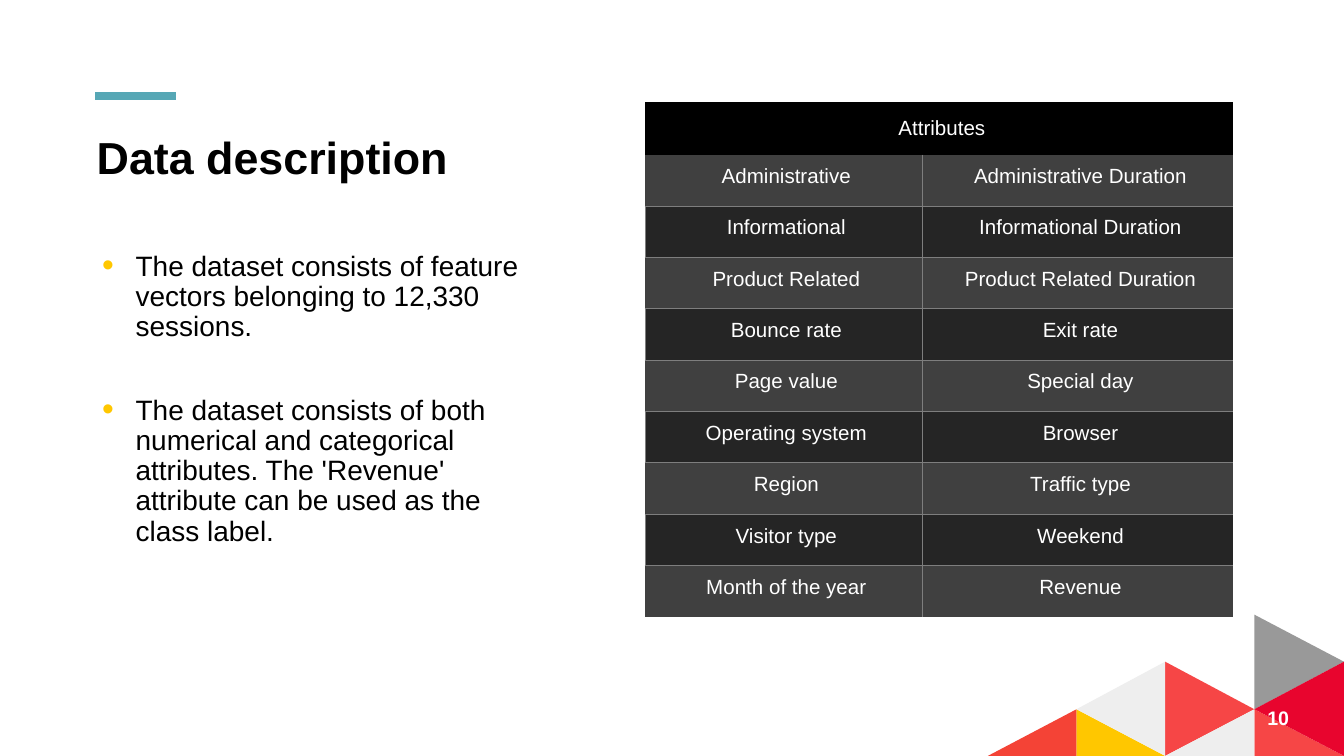
from lxml import etree
from pptx import Presentation
from pptx.dml.color import RGBColor
from pptx.enum.shapes import MSO_CONNECTOR
from pptx.enum.text import PP_ALIGN
from pptx.oxml.ns import qn
from pptx.util import Pt

STRAIGHT = MSO_CONNECTOR.STRAIGHT
LEFT, CENTER = PP_ALIGN.LEFT, PP_ALIGN.CENTER
FONT = "Arial"
PLAIN_TABLE = "{2D5ABB26-0587-4C30-8999-92F81FD0307C}"
GRID = "7E7E7E"

COLUMNS = [529.2, 576.7, 624.2, 672, 720]
LEVELS = [329.3, 354.5, 380, 405]
TRIANGLES = [
    ("999999", [(3, 0), (3, 2), (4, 1)]),
    ("FFC700", [(1, 2), (1, 3), (2, 3)]),
    ("F64646", [(2, 1), (2, 3), (3, 2)]),
    ("F64646", [(3, 2), (3, 3), (4, 3)]),
    ("EEEEEE", [(2, 1), (1, 2), (2, 3)]),
    ("EEEEEE", [(3, 2), (2, 3), (3, 3)]),
    ("E8052E", [(4, 1), (3, 2), (4, 3)]),
    ("F44336", [(1, 2), (0, 3), (1, 3)]),
]
BULLETS = [
    "The dataset consists of feature vectors belonging to 12,330 sessions.",
    "The dataset consists of both numerical and categorical attributes. "
    "The 'Revenue' attribute can be used as the class label.",
]
ATTRIBUTES = [
    ("Administrative", "Administrative Duration"),
    ("Informational", "Informational Duration"),
    ("Product Related", "Product Related Duration"),
    ("Bounce rate", "Exit rate"),
    ("Page value", "Special day"),
    ("Operating system", "Browser"),
    ("Region", "Traffic type"),
    ("Visitor type", "Weekend"),
    ("Month of the year", "Revenue"),
]


def color(value):
    return RGBColor.from_string(value)


def add_span(para, text, size, fill, bold=False):
    span = para.add_run()
    span.text = text
    span.font.name = FONT
    span.font.size = Pt(size)
    span.font.bold = bold
    span.font.color.rgb = color(fill)


def set_margins(target, left, top):
    target.margin_left, target.margin_top = Pt(left), Pt(top)
    target.margin_right = target.margin_bottom = 0


def add_box(page, left, top, width, height, inset_left, inset_top):
    box = page.shapes.add_textbox(Pt(left), Pt(top), Pt(width), Pt(height))
    frame = box.text_frame
    frame.word_wrap = True
    set_margins(frame, inset_left, inset_top)
    return frame


def add_triangle(page, fill, corners):
    points = [(Pt(COLUMNS[x]), Pt(LEVELS[y])) for x, y in corners]
    builder = page.shapes.build_freeform(*points[0], scale=1.0)
    builder.add_line_segments(points[1:], close=True)
    shape = builder.convert_to_shape()
    shape.shadow.inherit = False
    shape.fill.solid()
    shape.fill.fore_color.rgb = color(fill)
    shape.line.fill.background()


def add_rule(page, left, top, width, fill, weight):
    rule = page.shapes.add_connector(STRAIGHT, Pt(left), Pt(top), Pt(left + width), Pt(top))
    rule.line.color.rgb = color(fill)
    rule.line.width = Pt(weight)
    etree.SubElement(rule._element.spPr, qn("a:effectLst"))


def set_bullet(para, fill):
    props = para._p.get_or_add_pPr()
    props.set("marL", str(Pt(18.7)))
    props.set("indent", str(-Pt(18)))
    paint = etree.SubElement(props, qn("a:buClr"))
    etree.SubElement(paint, qn("a:srgbClr"), val=fill)
    etree.SubElement(props, qn("a:buSzPct"), val="120000")
    etree.SubElement(props, qn("a:buFont"), typeface=FONT)
    etree.SubElement(props, qn("a:buChar"), char="•")


def add_bullets(page):
    frame = add_box(page, 54, 131.8, 225.4, 162, 0, 2.9)
    for index, text in enumerate(BULLETS):
        para = frame.add_paragraph() if index else frame.paragraphs[0]
        para.line_spacing = Pt(16.2)
        para.space_before = Pt(28.5 if index else 0)
        set_bullet(para, "FFC700")
        add_span(para, text, 15, "000000")


def add_border(cell, side):
    line = etree.SubElement(cell._tc.get_or_add_tcPr(), qn("a:ln" + side), w=str(Pt(0.5)))
    paint = etree.SubElement(line, qn("a:solidFill"))
    etree.SubElement(paint, qn("a:srgbClr"), val=GRID)


def fill_cell(cell, text, fill, inset_top, sides=""):
    for side in sides:
        add_border(cell, side)
    cell.fill.solid()
    cell.fill.fore_color.rgb = color(fill)
    set_margins(cell, 2.9, inset_top)
    para = cell.text_frame.paragraphs[0]
    para.alignment = CENTER
    if text:
        add_span(para, text, 11, "FFFFFF")


def add_attribute_table(page):
    count = len(ATTRIBUTES) + 1
    frame = page.shapes.add_table(count, 2, Pt(345.6), Pt(54.7), Pt(315.2), Pt(275.9))
    table = frame.table
    table._tbl.tblPr.find(qn("a:tableStyleId")).text = PLAIN_TABLE
    for column, width in zip(table.columns, (148.5, 166.7)):
        column.width = Pt(width)
    for index, row in enumerate(table.rows):
        row.height = Pt(27.53 if index else 28.1)

    for cell, text in zip(table.rows[0].cells, ("Attributes", "")):
        fill_cell(cell, text, "000000", 7.7)
    table.cell(0, 0).merge(table.cell(0, 1))

    for number, names in enumerate(ATTRIBUTES, 1):
        dark = number % 2 == 0
        fill = "252525" if dark else "404040"
        top = "T" if number > 1 else ""
        bottom = "B" if number < count - 1 else ""
        edges = ("LR" if dark else "R", "L")
        for cell, name, edge in zip(table.rows[number].cells, names, edges):
            fill_cell(cell, name, fill, 5.5, edge + top + bottom)


def add_label(page, text, size, fill, *place):
    para = add_box(page, *place).paragraphs[0]
    para.alignment = LEFT
    add_span(para, text, size, fill, bold=True)


def main():
    deck = Presentation()
    deck.slide_width, deck.slide_height = Pt(720), Pt(405)
    page = deck.slides.add_slide(deck.slide_layouts[6])
    for fill, corners in TRIANGLES:
        add_triangle(page, fill, corners)
    add_label(page, "Data description", 24, "000000", 51, 66.2, 190, 31, 0.8, 3.4)
    add_rule(page, 51, 51.4, 43.2, "56A7B5", 4.5)
    add_bullets(page)
    add_label(page, "10", 10.5, "FFFFFF", 678.2, 376.6, 17.3, 13.7, 0.8, 1.8)
    add_attribute_table(page)
    deck.save("out.pptx")


if __name__ == "__main__":
    main()
